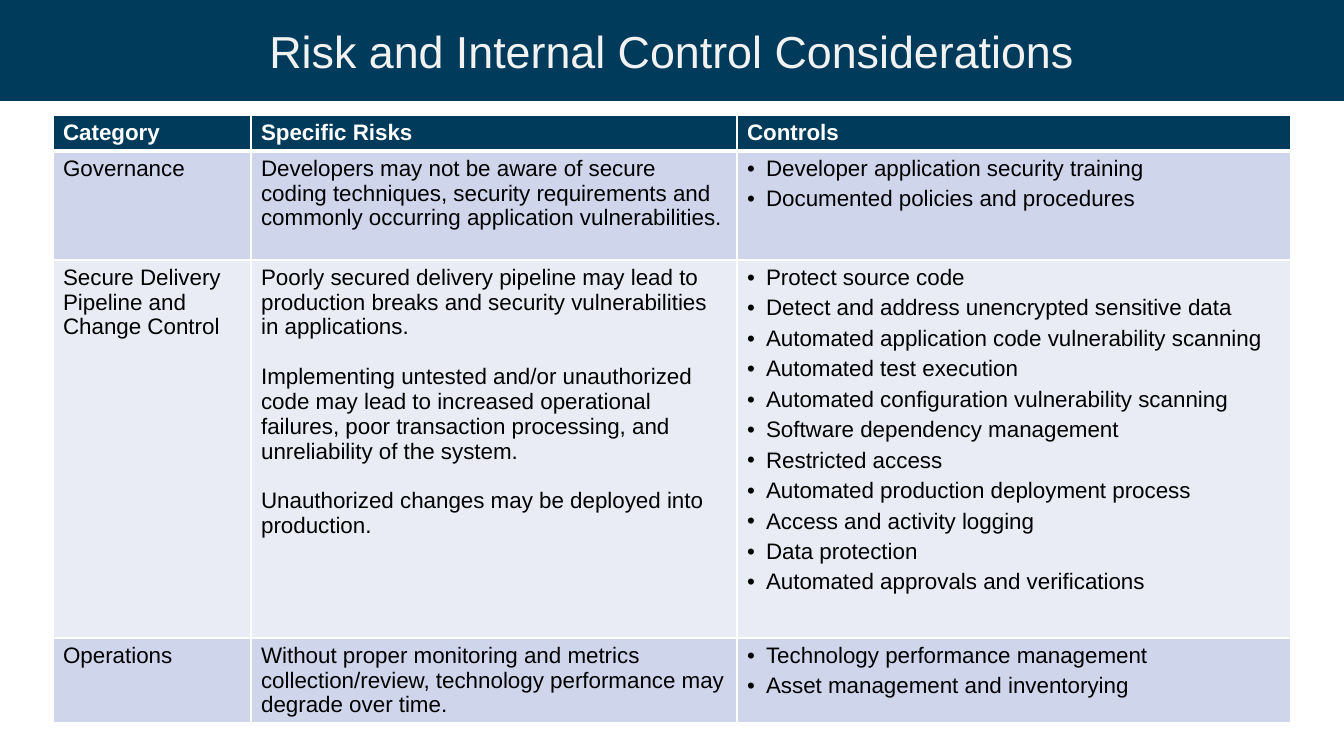
from lxml.etree import SubElement
from pptx import Presentation
from pptx.dml.color import RGBColor
from pptx.enum.text import MSO_ANCHOR, MSO_AUTO_SIZE, PP_ALIGN
from pptx.oxml.ns import qn
from pptx.util import Emu, Pt

COLORS = {
    "navy": "003B5C",
    "title": "F2F2F2",
    "white": "FFFFFF",
    "black": "000000",
    "odd": "CFD5EA",
    "even": "E9EBF5",
}
HEADINGS = ["Category", "Specific Risks", "Controls"]
CONSIDERATIONS = [
    (
        "Governance",
        ["Developers may not be aware of secure coding techniques, security "
         "requirements and commonly occurring application vulnerabilities."],
        ["Developer application security training",
         "Documented policies and procedures"],
    ),
    (
        "Secure Delivery Pipeline and Change Control",
        ["Poorly secured delivery pipeline may lead to production breaks and "
         "security vulnerabilities in applications.",
         "Implementing untested and/or unauthorized code may lead to increased "
         "operational failures, poor transaction processing, and unreliability "
         "of the system.",
         "Unauthorized changes may be deployed into production."],
        ["Protect source code",
         "Detect and address unencrypted sensitive data",
         "Automated application code vulnerability scanning",
         "Automated test execution",
         "Automated configuration vulnerability scanning",
         "Software dependency management",
         "Restricted access",
         "Automated production deployment process",
         "Access and activity logging",
         "Data protection",
         "Automated approvals and verifications"],
    ),
    (
        "Operations",
        ["Without proper monitoring and metrics collection/review, technology "
         "performance may degrade over time."],
        ["Technology performance management",
         "Asset management and inventorying"],
    ),
]
COLUMN_WIDTHS = [198, 486, 554]
ROW_HEIGHTS = [36, 109, 378, 84]


def px(length):
    """Turn slide pixels into EMU."""
    return Emu(round(length * 914400 / 100.8))


class RiskSlide:
    """Holds the deck style and the slide being filled."""

    font = "Arial"

    def __init__(self, deck):
        """Add a title-only slide to the deck."""
        self.slide = deck.slides.add_slide(deck.slide_layouts[5])

    def color(self, name):
        """Look up a colour by name."""
        return RGBColor.from_string(COLORS[name])

    def paint(self, target, name):
        """Give a shape or cell a solid fill."""
        target.fill.solid()
        target.fill.fore_color.rgb = self.color(name)

    def add_text(self, paragraph, text, size, color, bold=False):
        """Add one styled run."""
        run = paragraph.add_run()
        run.text = text
        run.font.name = self.font
        run.font.size = Pt(size)
        run.font.bold = bold
        run.font.color.rgb = self.color(color)

    def title(self, text, width, height):
        """Turn the title placeholder into a full-width band."""
        band = self.slide.shapes.title
        band.left, band.top, band.width, band.height = 0, 0, px(width), px(height)
        self.paint(band, "navy")
        frame = band.text_frame
        frame.auto_size = MSO_AUTO_SIZE.NONE
        frame.word_wrap = True
        frame.vertical_anchor = MSO_ANCHOR.MIDDLE
        frame.margin_left = frame.margin_right = px(53)
        frame.margin_top = frame.margin_bottom = px(7)
        heading = frame.paragraphs[0]
        heading.alignment = PP_ALIGN.CENTER
        self.add_text(heading, text, 32, "title")

    def border(self, cell, **widths):
        """Draw white cell borders with the given point widths."""
        properties = cell._tc.get_or_add_tcPr()
        for side in "LRTB":
            line = SubElement(properties, qn(f"a:ln{side}"), w=str(Pt(widths.get(side, 1))))
            fill = SubElement(line, qn("a:solidFill"))
            SubElement(fill, qn("a:srgbClr"), val=COLORS["white"])

    def bullet(self, paragraph):
        """Give a paragraph a hanging bullet."""
        properties = paragraph._p.get_or_add_pPr()
        properties.set("marL", str(px(19)))
        properties.set("indent", str(-px(19)))
        SubElement(properties, qn("a:buFont"), typeface=self.font)
        SubElement(properties, qn("a:buChar"), char="•")
        paragraph.space_after = Pt(4)

    def cell(self, cell, texts, fill, color="black", bold=False, bulleted=False):
        """Fill a cell with one paragraph per text."""
        self.paint(cell, fill)
        for index, text in enumerate(texts):
            frame = cell.text_frame
            paragraph = frame.add_paragraph() if index else frame.paragraphs[0]
            if bulleted:
                self.bullet(paragraph)
            elif index:
                paragraph.space_before = Pt(17.7)
            self.add_text(paragraph, text, 16, color, bold)

    def table(self, left, top):
        """Add the table of risks and controls."""
        table = self.slide.shapes.add_table(
            len(ROW_HEIGHTS), len(COLUMN_WIDTHS), px(left), px(top),
            px(sum(COLUMN_WIDTHS)), px(sum(ROW_HEIGHTS))).table
        table.horz_banding = False
        for column, width in zip(table.columns, COLUMN_WIDTHS):
            column.width = px(width)
        for row, height in zip(table.rows, ROW_HEIGHTS):
            row.height = px(height)
        for column, heading in enumerate(HEADINGS):
            self.border(table.cell(0, column), B=3)
            self.cell(table.cell(0, column), [heading], "navy", "white", bold=True)
        for row, (category, risks, controls) in enumerate(CONSIDERATIONS, 1):
            fill = "odd" if row % 2 else "even"
            for column, texts in enumerate([[category], risks, controls]):
                self.border(table.cell(row, column), T=3 if row == 1 else 1)
                self.cell(table.cell(row, column), texts, fill, bulleted=column == 2)


def main():
    """Build and save the slide."""
    deck = Presentation()
    deck.slide_width, deck.slide_height = px(1344), px(756)
    slide = RiskSlide(deck)
    slide.title("Risk and Internal Control Considerations", 1344, 101)
    slide.table(53, 115)
    deck.save("out.pptx")


if __name__ == "__main__":
    main()
